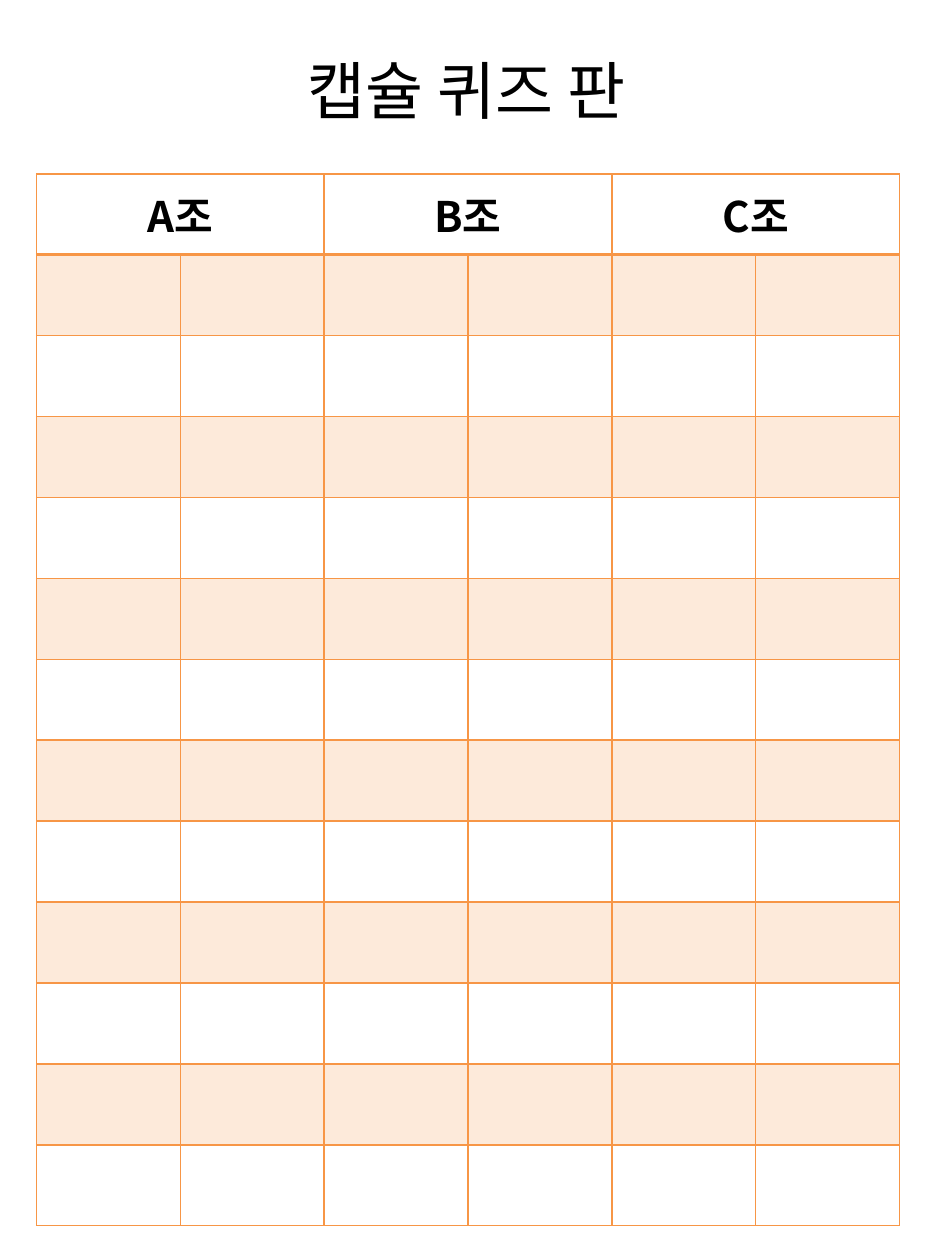
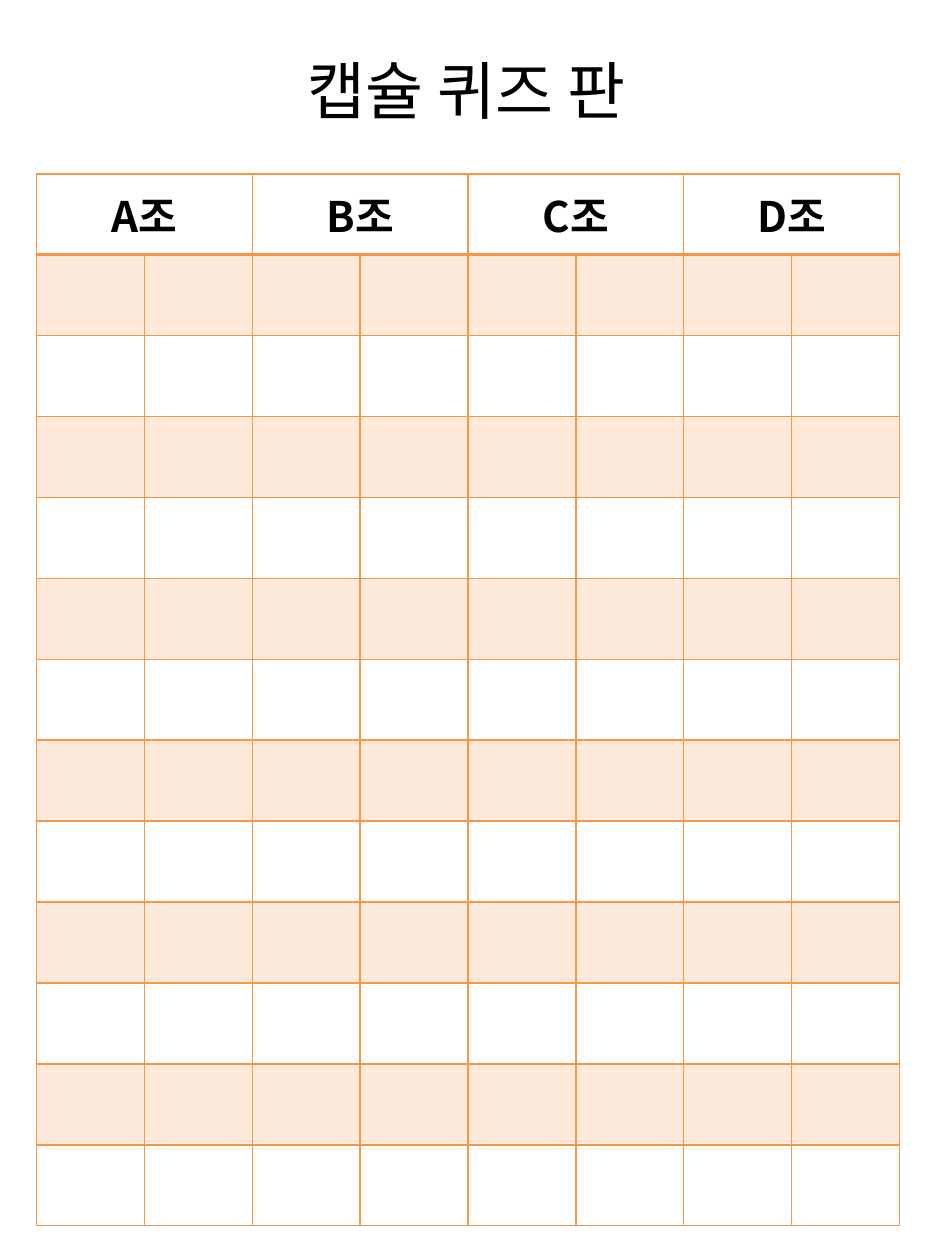
"""Builds two quiz boards, one for three teams and one for four."""
import lxml.etree
import pptx
import pptx.dml.color
import pptx.enum.text
import pptx.oxml
import pptx.oxml.ns
import pptx.util

TITLE = "캡슐 퀴즈 판"
BOARDS = [
    ["A조", "B조", "C조"],
    ["A조", "B조", "C조", "D조"],
]
QUIZ_ROWS = 12
COLUMNS_PER_TEAM = 2

ORANGE, BLACK = "F79646", "000000"
TITLE_FONT, TEAM_FONT = "Noto Sans CJK KR", "Noto Sans CJK SC"
TITLE_BOX = (2.17, 0.35, 3.06, 0.71)
BOARD_BOX = (0.29, 1.38, 6.85, 8.35)
CELL_MARGIN = 0.07
THIN, THICK = 1, 2

qn = pptx.oxml.ns.qn
Inches, Pt = pptx.util.Inches, pptx.util.Pt


def color(value):
    return pptx.dml.color.RGBColor.from_string(value)


def write(tf, text, font, size, bold=False):
    tf.text = text
    p = tf.paragraphs[0]
    p.alignment = pptx.enum.text.PP_ALIGN.CENTER
    p.font.name, p.font.size, p.font.bold = font, Pt(size), bold
    p.font.color.rgb = color(BLACK)
    for r in p.runs:
        r.font.name = font
        lxml.etree.SubElement(r.font._element, qn("a:ea"), typeface=font)


def add_title(s):
    title = s.shapes.title
    title.left, title.top, title.width, title.height = map(Inches, TITLE_BOX)
    write(title.text_frame, TITLE, TITLE_FONT, 36)
    title.text_frame.word_wrap = False
    title.text_frame.auto_size = pptx.enum.text.MSO_AUTO_SIZE.SHAPE_TO_FIT_TEXT


def set_borders(cell, top, bottom):
    tcPr = cell._tc.get_or_add_tcPr()
    sides = {"L": THIN, "R": THIN, "T": top, "B": bottom}
    for i, (side, width) in enumerate(sides.items()):
        ln = lxml.etree.Element(qn("a:ln" + side), w=str(Pt(width)))
        fill = lxml.etree.SubElement(ln, qn("a:solidFill"))
        lxml.etree.SubElement(fill, qn("a:srgbClr"), val=ORANGE)
        tcPr.insert(i, ln)


def tint(cell, percent):
    cell.fill.solid()
    cell.fill.fore_color.rgb = color(ORANGE)
    clr = cell._tc.tcPr.find(".//" + qn("a:srgbClr"))
    lxml.etree.SubElement(clr, qn("a:alpha"), val=str(percent * 1000))


def format_cell(cell, row):
    cell.margin_left = cell.margin_right = Inches(CELL_MARGIN)
    cell.margin_top = cell.margin_bottom = Inches(CELL_MARGIN)
    cell.vertical_anchor = pptx.enum.text.MSO_ANCHOR.MIDDLE
    if row % 2:
        tint(cell, 20)
    else:
        cell.fill.background()
    set_borders(cell, THICK if row == 1 else THIN, THICK if row == 0 else THIN)


def add_board(s, teams):
    rows, cols = QUIZ_ROWS + 1, len(teams) * COLUMNS_PER_TEAM
    left, top, width, height = map(Inches, BOARD_BOX)
    table = s.shapes.add_table(rows, cols, left, top, width, height).table
    table.first_row = table.horz_banding = False
    for column in table.columns:
        column.width = width // cols
    for i, row in enumerate(table.rows):
        row.height = height // rows
        for cell in row.cells:
            format_cell(cell, i)
    for i, team in enumerate(teams):
        first = i * COLUMNS_PER_TEAM
        cell = table.cell(0, first)
        cell.merge(table.cell(0, first + COLUMNS_PER_TEAM - 1))
        write(cell.text_frame, team, TEAM_FONT, 24, bold=True)


prs = pptx.Presentation()
prs.slide_width, prs.slide_height = Inches(7.5), Inches(10)
for teams in BOARDS:
    s = prs.slides.add_slide(prs.slide_layouts[5])
    add_title(s)
    add_board(s, teams)
prs.save("out.pptx")
